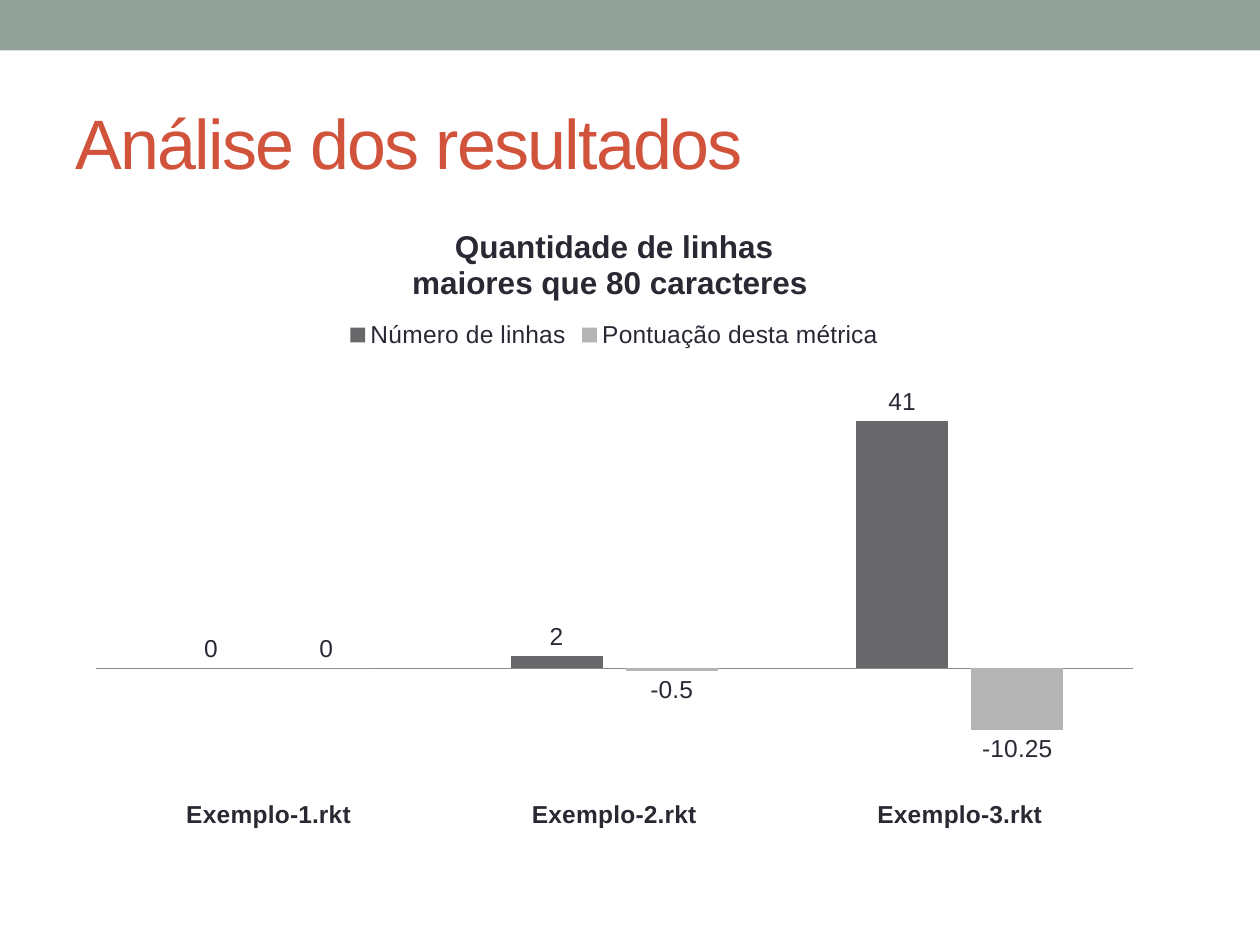
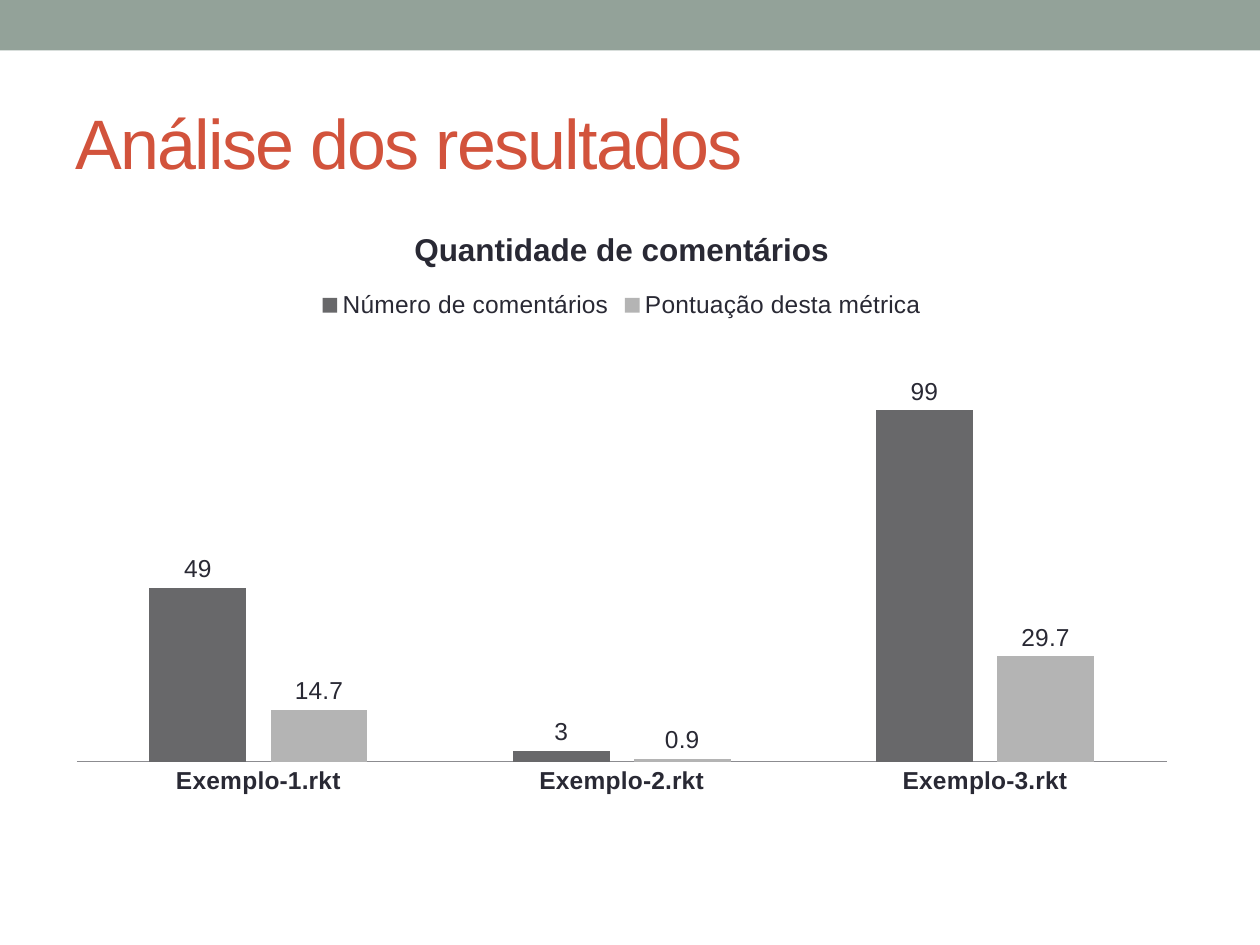
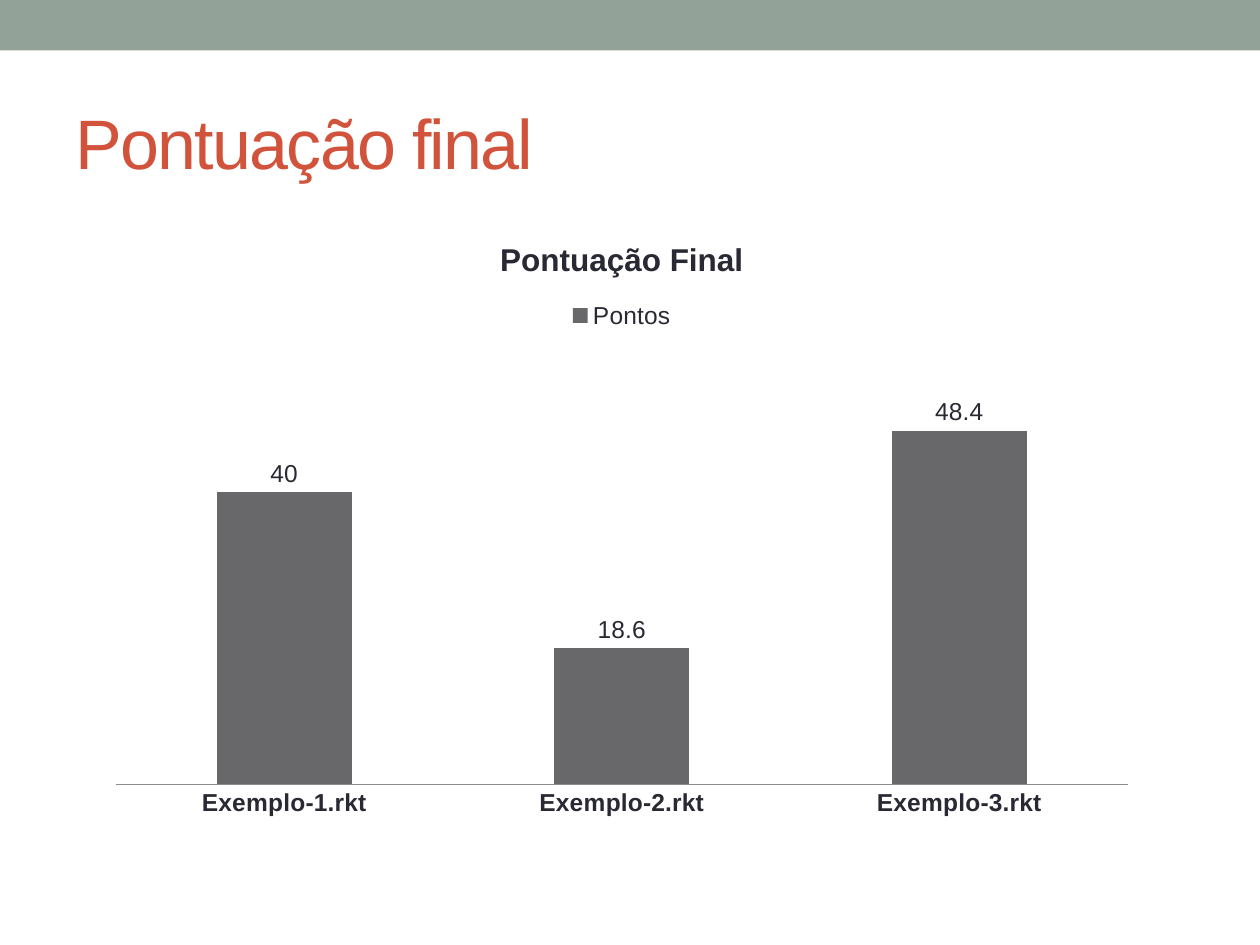
from dataclasses import dataclass

from pptx import Presentation
from pptx.chart import data as chart_data
from pptx.dml import color
from pptx.enum import chart as charts, shapes, text
from pptx.util import Pt


@dataclass(frozen=True)
class Theme:
    """Colours and type sizes shared by the slides."""
    font: str = "Arial"
    band: str = "93A299"
    heading: str = "D2533C"
    ink: str = "292934"
    axis: str = "8C8C90"
    columns: tuple = ("68686A", "B4B4B4")
    heading_size: int = 40
    chart_title_size: int = 18
    label_size: int = 14
    base_size: int = 10


class Deck:
    """Holds the style and the current slide, and adds elements to it."""

    def __init__(self, theme):
        """Start a 4:3 presentation."""
        self.theme = theme
        self.prs = Presentation()
        self.prs.slide_width, self.prs.slide_height = Pt(720), Pt(540)
        self.layout = self.prs.slide_layouts.get_by_name("Title Only")
        self.slide = None

    def style(self, target, **values):
        """Set each attribute of the target to its value."""
        for name, value in values.items():
            setattr(target, name, value)

    def font(self, font, size, bold=False, ink=None):
        """Apply the theme typeface with a size, weight and colour."""
        self.style(font, name=self.theme.font, size=Pt(size), bold=bold)
        font.color.rgb = color.RGBColor.from_string(ink or self.theme.ink)

    def paint(self, fill, rgb):
        """Give a fill one solid colour."""
        fill.solid()
        fill.fore_color.rgb = color.RGBColor.from_string(rgb)

    def band(self):
        """Draw the top band and hand it to the shared layout."""
        band = self.slide.shapes.add_shape(
            shapes.MSO_SHAPE.RECTANGLE, 0, 0, self.prs.slide_width, Pt(28.8))
        band.shadow.inherit = False
        self.paint(band.fill, self.theme.band)
        band.line.fill.background()
        band.element.nvSpPr.cNvPr.set("id", "20")
        self.layout.shapes.element.insert(2, band.element)

    def new_slide(self, heading):
        """Add a slide with its heading."""
        first = self.slide is None
        self.slide = self.prs.slides.add_slide(self.layout)
        if first:
            self.band()
        title = self.slide.shapes.title
        self.style(title, left=Pt(36), top=Pt(41.76), width=Pt(648), height=Pt(77.76))
        self.style(title.text_frame, text=heading, word_wrap=True,
                   vertical_anchor=text.MSO_ANCHOR.MIDDLE)
        line = title.text_frame.paragraphs[0]
        line.alignment = text.PP_ALIGN.LEFT
        self.font(line.runs[0].font, self.theme.heading_size, ink=self.theme.heading)
        line.runs[0].font._element.set("spc", "-100")

    def column_chart(self, box, title, categories, scores, low_labels=False):
        """Add a clustered column chart with a title, legend and value labels."""
        theme = self.theme
        data = chart_data.CategoryChartData()
        data.categories = categories
        for name, values in scores.items():
            data.add_series(name, values)
        chart = self.slide.shapes.add_chart(
            charts.XL_CHART_TYPE.COLUMN_CLUSTERED, *map(Pt, box), data).chart
        self.font(chart.font, theme.base_size)
        self.style(chart, has_title=True, has_legend=True)
        chart.chart_title.include_in_layout = False
        chart.chart_title.text_frame.text = title
        for line in chart.chart_title.text_frame.paragraphs:
            self.font(line.runs[0].font, theme.chart_title_size, bold=True)
        self.style(chart.legend, position=charts.XL_LEGEND_POSITION.TOP,
                   include_in_layout=False)
        self.font(chart.legend.font, theme.label_size)
        self.axes(chart, low_labels)
        plot = chart.plots[0]
        self.style(plot, gap_width=150, overlap=-25, vary_by_categories=False)
        for series, rgb in zip(plot.series, theme.columns):
            series.invert_if_negative = False
            self.paint(series.format.fill, rgb)
            labels = series.data_labels
            self.style(labels, show_value=True, number_format="General",
                       number_format_is_linked=False,
                       position=charts.XL_LABEL_POSITION.OUTSIDE_END)
            self.font(labels.font, theme.label_size)

    def axes(self, chart, low_labels):
        """Hide the value axis and format the category axis."""
        self.style(chart.value_axis, visible=False, has_major_gridlines=False)
        position = charts.XL_TICK_LABEL_POSITION
        axis = chart.category_axis
        self.style(axis, major_tick_mark=charts.XL_TICK_MARK.NONE,
                   minor_tick_mark=charts.XL_TICK_MARK.NONE,
                   tick_label_position=position.LOW if low_labels else position.NEXT_TO_AXIS)
        self.font(axis.tick_labels.font, self.theme.label_size, bold=True)
        axis.format.line.width = Pt(0.75)
        self.paint(axis.format.line.fill, self.theme.axis)


examples = [f"Exemplo-{number}.rkt" for number in range(1, 4)]
metric_score = "Pontuação desta métrica"
deck = Deck(Theme())

deck.new_slide("Análise dos resultados")
deck.column_chart(
    (42.48, 116.64, 617.04, 364.32),
    "Quantidade de linhas\nmaiores que 80 caracteres ", examples,
    {"Número de linhas": (0, 2, 41), metric_score: (0, -0.5, -10.25)},
    low_labels=True)

deck.new_slide("Análise dos resultados")
deck.column_chart(
    (30.96, 116.64, 648.72, 344.16), "Quantidade de comentários", examples,
    {"Número de comentários": (49, 3, 99), metric_score: (14.7, 0.9, 29.7)})

deck.new_slide("Pontuação final")
deck.column_chart(
    (54, 122.4, 602.64, 351.36), "Pontuação Final", examples,
    {"Pontos": (40, 18.6, 48.4)})

deck.prs.save("out.pptx")
